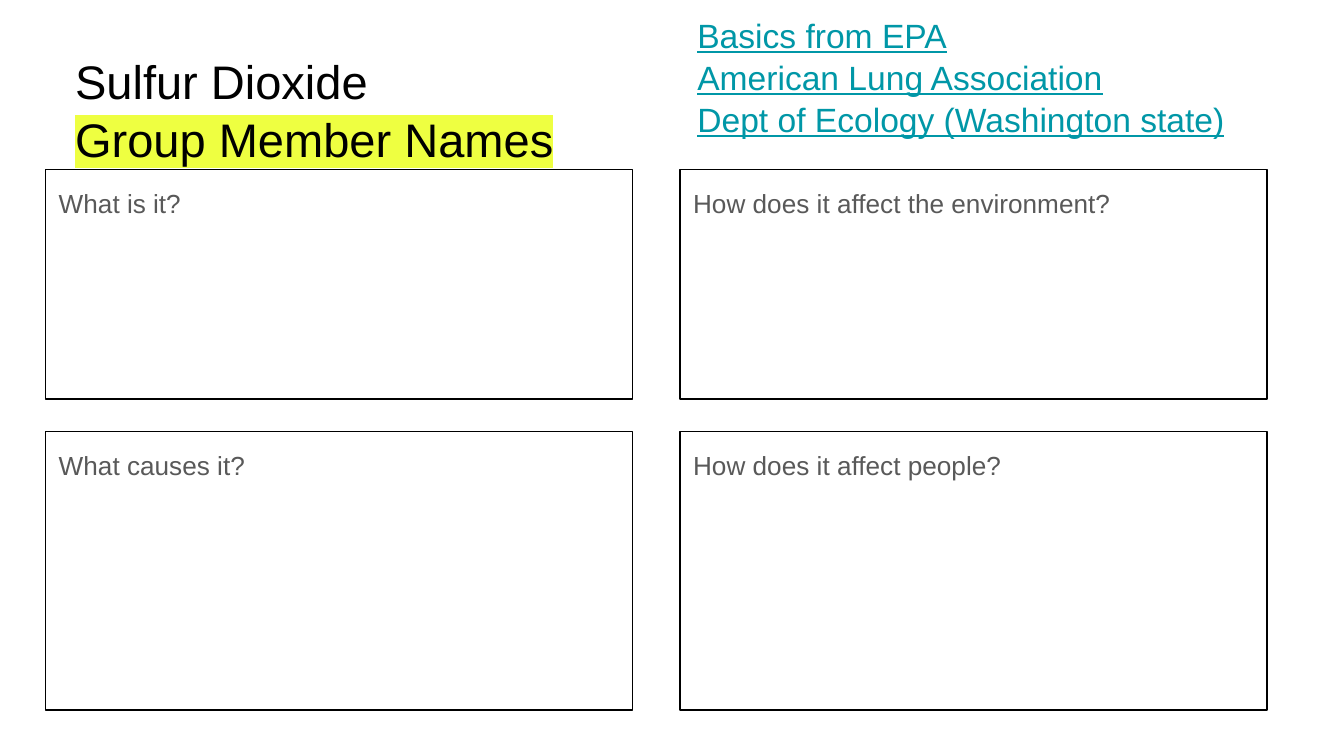
import lxml.etree
import pptx
import pptx.dml.color
import pptx.enum.shapes
import pptx.enum.text
import pptx.oxml.ns
import pptx.util

Cm = pptx.util.Cm
Pt = pptx.util.Pt

HEADING = [("Sulfur Dioxide", False), ("Group Member Names", True)]
SOURCES = [
    "Basics from EPA",
    "American Lung Association",
    "Dept of Ecology (Washington state)",
]
QUESTIONS = [
    ["What is it?", "How does it affect the environment?"],
    ["What causes it?", "How does it affect people?"],
]
THEME = {
    "font": "Arial",
    "heading": (25.2, "000000"),
    "source": (18, "0097A7"),
    "question": (14, "595959"),
    "highlight": "EEFF41",
    "border": "000000",
}
COLUMN_LEFTS = [0.86, 12.85]
COLUMN_WIDTH = 11.1
ROWS = [(3.2, 4.34), (8.15, 5.26)]
INSET = 0.25


def rgb(value):
    return pptx.dml.color.RGBColor.from_string(value)


def prepare(box, top_inset=INSET):
    frame = box.text_frame
    frame.word_wrap = True
    frame.vertical_anchor = pptx.enum.text.MSO_ANCHOR.TOP
    frame.margin_left = frame.margin_right = frame.margin_bottom = Cm(INSET)
    frame.margin_top = Cm(top_inset)
    return frame


def write(frame, lines, style, spacing):
    size, color = THEME[style]
    for index, line in enumerate(lines):
        para = frame.add_paragraph() if index else frame.paragraphs[0]
        para.alignment = pptx.enum.text.PP_ALIGN.LEFT
        para.line_spacing = spacing
        span = para.add_run()
        span.text = line
        span.font.size = Pt(size)
        span.font.color.rgb = rgb(color)
        span.font.name = THEME["font"]


def highlight(span):
    qn = pptx.oxml.ns.qn
    mark = lxml.etree.Element(qn("a:highlight"))
    lxml.etree.SubElement(mark, qn("a:srgbClr"), val=THEME["highlight"])
    span.font.fill._xPr.find(qn("a:solidFill")).addnext(mark)


def add_question(page, text, left, top, height):
    box = page.shapes.add_shape(
        pptx.enum.shapes.MSO_SHAPE.RECTANGLE,
        Cm(left), Cm(top), Cm(COLUMN_WIDTH), Cm(height),
    )
    box.shadow.inherit = False
    box.fill.background()
    box.line.color.rgb = rgb(THEME["border"])
    box.line.width = Pt(0.75)
    write(prepare(box), [text], "question", 1.15)


def main():
    deck = pptx.Presentation()
    deck.slide_width, deck.slide_height = Cm(25.4), Cm(14.28)
    page = deck.slides.add_slide(deck.slide_layouts[6])

    for (top, height), questions in zip(ROWS, QUESTIONS):
        for left, question in zip(COLUMN_LEFTS, questions):
            add_question(page, question, left, top, height)

    title = page.shapes.add_textbox(Cm(1.17), Cm(0.61), Cm(10.62), Cm(2.21))
    frame = prepare(title, 0.33)
    write(frame, [text for text, marked in HEADING], "heading", 1.04)
    for para, (text, marked) in zip(frame.paragraphs, HEADING):
        if marked:
            highlight(para.runs[0])

    sources = page.shapes.add_textbox(Cm(12.93), Cm(0), Cm(12.47), Cm(2.82))
    frame = prepare(sources)
    write(frame, SOURCES, "source", 1.04)
    for para in frame.paragraphs:
        para.runs[0].font.underline = True

    deck.save("out.pptx")


if __name__ == "__main__":
    main()
